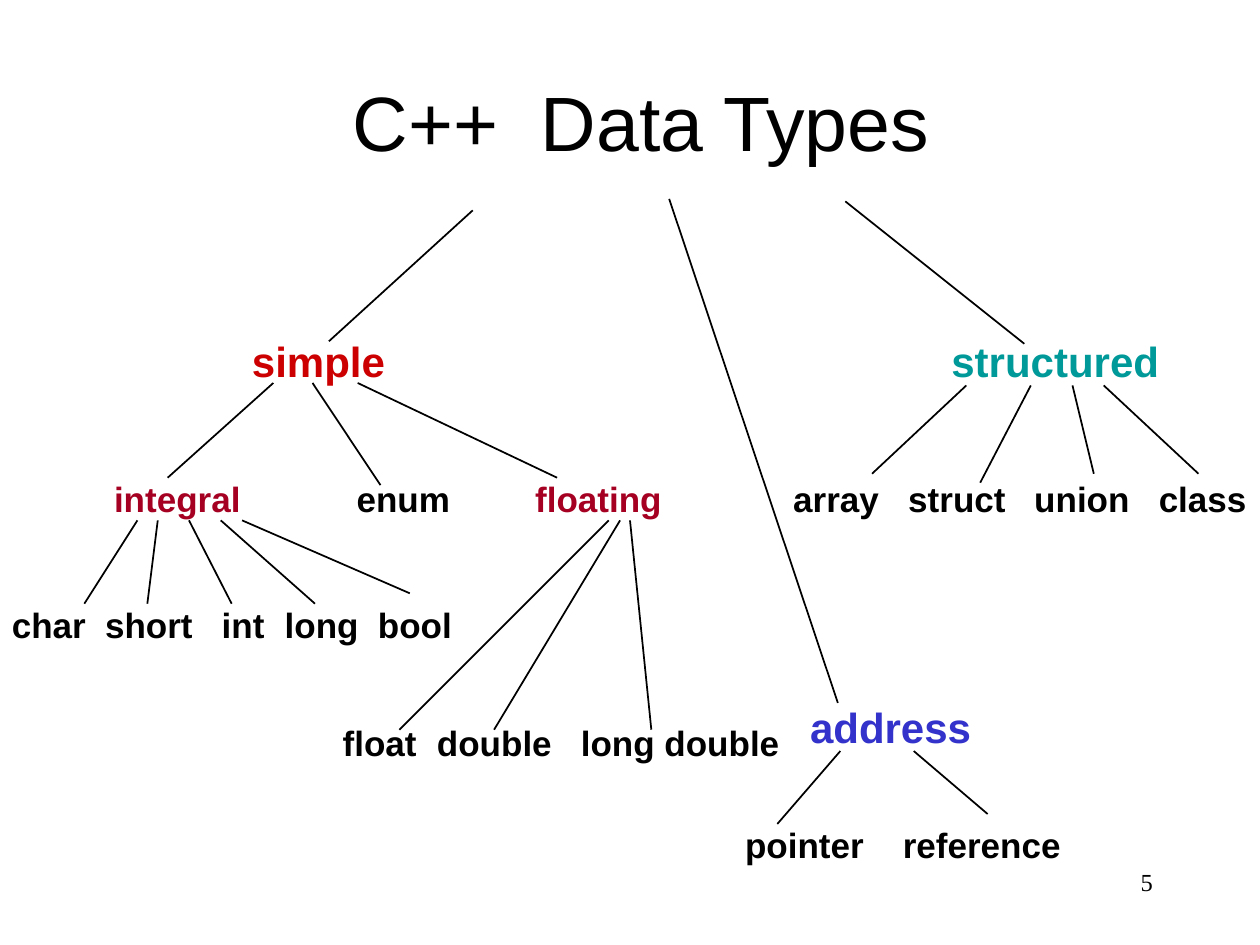
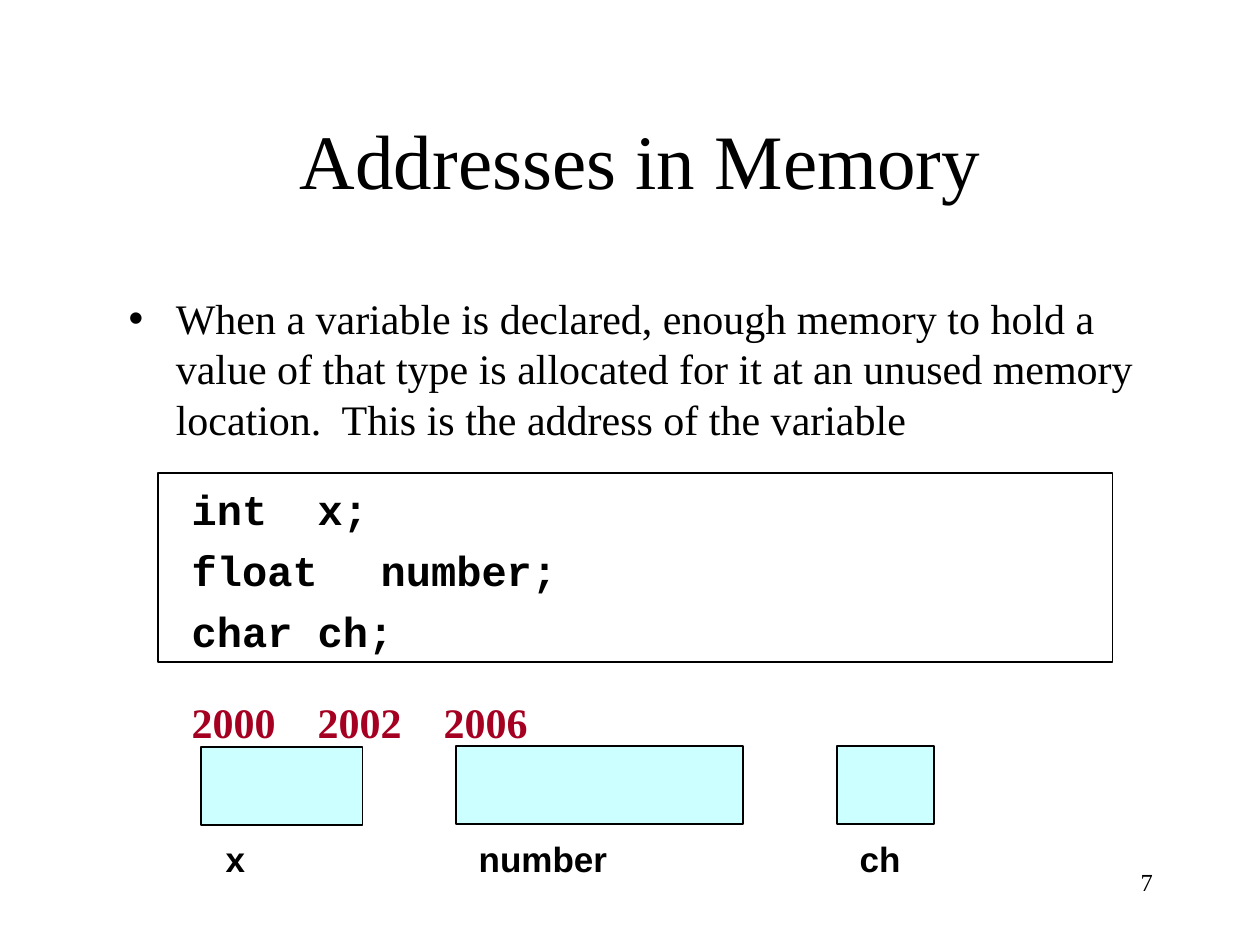
from lxml import etree
from pptx import Presentation
from pptx.dml.color import RGBColor
from pptx.enum.shapes import MSO_CONNECTOR, MSO_SHAPE
from pptx.enum.text import MSO_ANCHOR, MSO_AUTO_SIZE, PP_ALIGN
from pptx.oxml.ns import qn
from pptx.util import Cm, Pt

LINE = MSO_CONNECTOR.STRAIGHT
RECT = MSO_SHAPE.RECTANGLE
MIDDLE, BOTTOM = MSO_ANCHOR.MIDDLE, MSO_ANCHOR.BOTTOM
FIXED = MSO_AUTO_SIZE.NONE
LEFT, CENTER, RIGHT = PP_ALIGN.LEFT, PP_ALIGN.CENTER, PP_ALIGN.RIGHT

COLORS = {"black": "000000", "white": "FFFFFF", "red": "CC0000", "wine": "A50021",
          "teal": "009999", "blue": "3333CC", "cyan": "CCFFFF"}
SANS, SERIF, MONO = "Arial", "Times New Roman", "Courier New"


def color(name):
    return RGBColor.from_string(COLORS[name])


class Deck:
    def __init__(self):
        self.file = Presentation()
        self.file.slide_width, self.file.slide_height = Cm(25.4), Cm(19.05)
        self.slide = None

    def new(self, layout, number):
        self.slide = self.file.slides.add_slide(self.file.slide_layouts[layout])
        self.text(number, 18.21, 17.35, 5.28, 14, SERIF, bold=False, align=RIGHT, inset=0.25)

    def run(self, para, words, size, font, tint="black", bold=False):
        run = para.add_run()
        run.text = words
        run.font.size, run.font.name, run.font.bold = Pt(size), font, bold
        run.font.color.rgb = color(tint)

    def place(self, shape, left, top, width, height):
        shape.left, shape.top, shape.width, shape.height = map(Cm, (left, top, width, height))

    def title(self, words, font, left, top, anchor):
        shape = self.slide.shapes.title
        self.place(shape, left, top, 21.59, 3.18)
        frame = shape.text_frame
        frame.auto_size, frame.vertical_anchor = FIXED, anchor
        para = frame.paragraphs[0]
        para.alignment = CENTER
        self.run(para, words, 44, font)

    def body(self, left, top, width, height):
        shape = self.slide.placeholders[1]
        self.place(shape, left, top, width, height)
        shape.text_frame.auto_size = FIXED
        return shape.text_frame

    def bullet(self, frame, words):
        para = frame.paragraphs[0]
        para.space_before = Pt(6)
        props = para._p.get_or_add_pPr()
        props.set("marL", str(Cm(0.95)))
        props.set("indent", str(-Cm(0.95)))
        self.run(para, words, 24, SERIF)

    def row(self, frame, words, stops, before, font, tint="black"):
        para = frame.add_paragraph()
        para.space_before = Pt(before)
        props = para._p.get_or_add_pPr()
        props.set("marL", "0")
        props.set("indent", "0")
        etree.SubElement(props, qn("a:buNone"))
        tabs = etree.SubElement(props, qn("a:tabLst"))
        for stop in stops:
            etree.SubElement(tabs, qn("a:tab"), pos=str(Cm(stop)), algn="l")
        for word in words:
            self.run(para, "\t" + word, 24, font, tint, True)

    def text(self, words, left, top, width, size=20, font=SANS, tint="black",
             bold=True, align=LEFT, inset=0):
        box = self.slide.shapes.add_textbox(Cm(left), Cm(top), Cm(width), Cm(1.27))
        frame = box.text_frame
        frame.word_wrap = True
        frame.margin_left = frame.margin_right = Cm(inset)
        para = frame.paragraphs[0]
        para.alignment = align
        self.run(para, words, size, font, tint, bold)

    def line(self, start, end):
        shape = self.slide.shapes.add_connector(LINE, *map(Cm, start + end))
        shape.line.color.rgb, shape.line.width = color("black"), Pt(1)
        etree.SubElement(shape.element.spPr, qn("a:effectLst"))

    def fan(self, y, ends):
        for x, *end in ends:
            self.line((x, y), tuple(end))

    def rect(self, left, top, width, height, tint):
        shape = self.slide.shapes.add_shape(RECT, *map(Cm, (left, top, width, height)))
        shape.shadow.inherit = False
        shape.fill.solid()
        shape.fill.fore_color.rgb = color(tint)
        shape.line.color.rgb, shape.line.width = color("black"), Pt(1)
        return shape

    def back(self, shape):
        self.slide.shapes.element.insert(2, shape.element)


def draw_types(deck):
    deck.new(5, "5")
    deck.title("C++  Data Types", SANS, 2.13, 0.84, MIDDLE)

    heads = [("simple", 5.08, 6.63, 2.8, "red"),
             ("structured", 19.18, 6.63, 4.3, "teal"),
             ("address", 16.33, 14.02, 3.4, "blue")]
    for word, left, top, width, tint in heads:
        deck.text(word, left, top, width, 24, tint=tint)

    for word, left in (("integral", 2.3), ("floating", 10.79)):
        deck.text(word, left, 9.5, 2.7, tint="wine")

    leaves = {
        9.5: [("enum", 7.19, 2), ("array", 15.99, 1.85), ("struct", 18.31, 2.1),
              ("union", 20.85, 2.05), ("class", 23.36, 1.9)],
        12.04: [("char", 0.24, 1.6), ("short", 2.12, 1.9), ("int", 4.47, 1),
                ("long", 5.74, 1.6), ("bool", 7.62, 1.6)],
        14.43: [("float", 6.91, 1.6), ("double", 8.81, 2.45), ("long double", 11.71, 4.15)],
        16.48: [("pointer", 15.02, 2.5), ("reference", 18.2, 3.3)],
    }
    for top, words in leaves.items():
        for word, left, width in words:
            deck.text(word, left, top, width)

    deck.line((9.53, 4.24), (6.63, 6.88))
    deck.line((13.49, 4.01), (16.89, 14.17))
    deck.line((17.04, 4.06), (20.65, 6.93))
    deck.fan(7.72, [(5.51, 3.38, 9.63), (6.3, 7.67, 9.78), (7.21, 11.23, 9.63)])
    deck.fan(7.77, [(19.48, 17.58, 9.55), (20.78, 19.76, 9.73),
                    (21.62, 22.05, 9.55), (22.25, 24.16, 9.55)])
    deck.fan(10.49, [(2.77, 1.7, 12.17), (3.18, 2.97, 12.17), (3.81, 4.67, 12.17),
                     (4.45, 6.35, 12.17), (4.88, 8.26, 11.96),
                     (12.27, 8.05, 14.71), (12.5, 9.96, 14.71), (12.7, 13.13, 14.71)])
    deck.fan(15.14, [(16.94, 15.67, 16.61), (18.42, 19.91, 16.41)])


def draw_memory(deck):
    deck.new(1, "7")
    deck.title("Addresses in Memory", SERIF, 2.11, 1.07, BOTTOM)
    deck.back(deck.rect(3.18, 9.53, 19.25, 3.81, "white"))

    frame = deck.body(2.34, 5.77, 22.02, 13.28)
    deck.bullet(frame, "When a variable is declared, enough memory to hold a value of that type "
                       "is allocated for it at an unused memory location.  "
                       "This is the address of the variable")
    code = [("int", "x;"), ("float", "number;"), ("char", "ch;")]
    for place, words in enumerate(code):
        deck.row(frame, words, (2.53, 6.6), 6 if place else 23, MONO)
    deck.row(frame, ("2000", "2002", "2006"), (1.68, 6.76, 14.8), 23, SERIF, "wine")

    cells = [("x", 4.06, 15.06, 3.25, 4.55), ("number", 9.19, 15.04, 5.79, 9.65),
             ("ch", 16.87, 15.04, 1.96, 17.33)]
    for name, left, top, width, start in cells:
        deck.rect(left, top, width, 1.57, "cyan")
        deck.text(name, start, 16.76, 3)


def main():
    deck = Deck()
    draw_types(deck)
    draw_memory(deck)
    deck.file.save("out.pptx")


if __name__ == "__main__":
    main()
